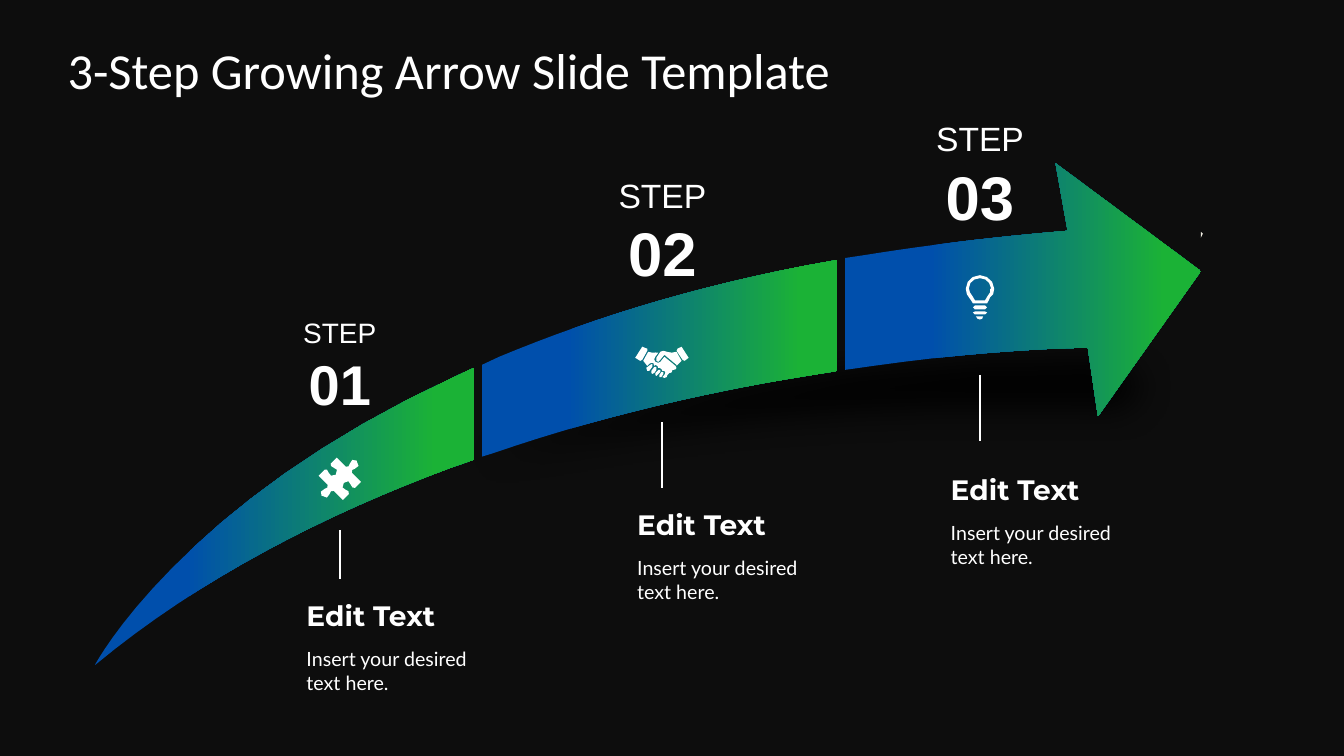
from dataclasses import dataclass
from math import dist, sqrt
from typing import Any, Iterator

from lxml import etree
from pptx import Presentation
from pptx import util as u
from pptx.dml.color import RGBColor
from pptx.enum import shapes, text
from pptx.oxml.ns import qn


@dataclass(frozen=True)
class Theme:
    backdrop: str = "0D0D0D"
    ink: str = "FFFFFF"
    shade: str = "000000"
    speck: str = "EEECE1"
    gradient: tuple = ((0.24, "004FAC"), (0.9, "1BB236"))
    title_font: str = "Calibri"
    step_font: str = "Arial"
    heading_font: str = "Montserrat"
    detail_font: str = "Lato"
    title_size: int = 36
    heading_size: int = 20
    detail_size: int = 14


@dataclass(frozen=True)
class Step:
    number: str
    center: float
    step_top: float
    step_size: int
    number_size: int
    line_top: float
    line_bottom: float
    text_left: float
    heading_top: float
    icon: tuple


THEME = Theme()
TEXT_WIDTH = 1.84
STEP_WIDTH = 1.38
CURVE_DENSITY = 8
CURVE_LIMIT = 16

SHADE = "M .75 6.74 C .75 6.74 3.3 3.09 10.72 3.22 L 10.67 2.63 L 12.02 3.77 L 10.87 5.1 L 10.83 4.41 C 10.83 4.41 4.15 4.03 .75 6.74"
ARROW = (
    "M 10.47 1.62 L 11.91 2.69 L 10.89 4.13 L 10.79 3.45 C 10.79 3.45 9.93 3.45 8.66 3.63 L 8.38 3.67 L 8.38 2.56 L 8.58 2.53 C 9.2 2.43 9.87 2.35 10.59 2.29",
    "M 8.3 2.58 L 8.3 3.68 L 7.99 3.73 C 7.06 3.88 5.98 4.12 4.88 4.5 L 4.78 4.53 L 4.78 3.62 L 4.95 3.54 C 5.79 3.19 6.79 2.87 7.97 2.64",
    "M 4.7 3.65 L 4.7 4.56 L 4.47 4.64 C 3.23 5.1 1.99 5.73 .94 6.6 C .94 6.6 1.79 4.98 4.55 3.72",
)
SPECK = "M 11.91 2.3 L 11.93 2.32 L 11.91 2.36"
PUZZLE = (
    "M 3.43 4.86 C 3.4 4.86 3.38 4.82 3.41 4.79 C 3.44 4.76 3.48 4.77 3.48 4.81 C 3.48 4.83 3.51 4.85 3.52 4.84 L 3.58 4.78 L 3.49 4.69 "
    "C 3.48 4.67 3.5 4.65 3.52 4.65 C 3.56 4.65 3.57 4.6 3.54 4.58 L 3.54 4.57 C 3.51 4.55 3.47 4.56 3.47 4.6 C 3.47 4.62 3.45 4.64 3.43 4.63 "
    "L 3.34 4.54 L 3.28 4.6 C 3.27 4.61 3.29 4.64 3.31 4.64 C 3.34 4.63 3.36 4.68 3.33 4.71 C 3.3 4.73 3.26 4.72 3.26 4.69 "
    "C 3.26 4.67 3.23 4.64 3.22 4.66 L 3.16 4.72 L 3.25 4.81 C 3.26 4.83 3.24 4.85 3.22 4.85 C 3.18 4.85 3.17 4.9 3.19 4.92 L 3.2 4.92 "
    "C 3.22 4.95 3.27 4.94 3.27 4.9 C 3.27 4.88 3.29 4.86 3.31 4.87 L 3.4 4.96 L 3.46 4.9 C 3.47 4.88 3.45 4.86 3.43 4.86",
)
HANDSHAKE = (
    "M 6.55 3.74 L 6.54 3.74 L 6.54 3.72 L 6.56 3.69 L 6.58 3.69 C 6.59 3.7 6.59 3.71 6.58 3.71 L 6.56 3.74",
    "M 6.51 3.73 L 6.5 3.72 L 6.5 3.7 L 6.53 3.67 C 6.53 3.66 6.54 3.66 6.55 3.67 C 6.56 3.68 6.56 3.68 6.55 3.69 L 6.52 3.72",
    "M 6.47 3.71 L 6.46 3.7 L 6.46 3.68 L 6.49 3.64 L 6.51 3.64 C 6.52 3.65 6.52 3.66 6.51 3.67 L 6.49 3.7",
    "M 6.43 3.68 L 6.42 3.68 L 6.41 3.65 L 6.45 3.62 L 6.47 3.61 C 6.48 3.62 6.48 3.63 6.47 3.64 L 6.44 3.68",
    "M 6.3 3.55 L 6.35 3.58 L 6.37 3.57 L 6.42 3.48 L 6.42 3.46 L 6.37 3.44",
    "M 6.7 3.63 L 6.59 3.54 L 6.55 3.59 L 6.53 3.6 L 6.5 3.59 C 6.49 3.58 6.48 3.55 6.5 3.54 "
    "L 6.53 3.5 C 6.51 3.49 6.47 3.51 6.43 3.49 L 6.38 3.58 L 6.42 3.63 L 6.44 3.61 L 6.46 3.6 L 6.48 3.6 "
    "L 6.49 3.63 L 6.5 3.62 L 6.52 3.63 L 6.53 3.65 L 6.54 3.65 L 6.56 3.66 L 6.57 3.68 L 6.59 3.68 L 6.6 3.7 "
    "L 6.59 3.72 L 6.57 3.74 L 6.59 3.75 C 6.61 3.75 6.62 3.74 6.62 3.72 L 6.64 3.7 "
    "L 6.65 3.7 C 6.66 3.7 6.67 3.69 6.67 3.67 L 6.68 3.67 C 6.7 3.67 6.71 3.66 6.71 3.65",
    "M 6.83 3.55 L 6.79 3.58 L 6.77 3.57 L 6.71 3.48 L 6.72 3.46 L 6.76 3.44",
    "M 6.71 3.49 C 6.66 3.51 6.62 3.49 6.58 3.48 L 6.55 3.49 L 6.51 3.55 L 6.51 3.58 "
    "L 6.53 3.59 L 6.54 3.58 L 6.59 3.52 L 6.71 3.62 L 6.71 3.63 L 6.76 3.58",
)
BULB = (
    "M 9.67 3.03 L 9.77 3.03 L 9.79 3.05 L 9.77 3.07 L 9.67 3.07 L 9.65 3.05",
    "M 9.67 3.09 L 9.77 3.09 L 9.79 3.1 L 9.77 3.12 L 9.67 3.12 L 9.65 3.1",
    "M 9.68 3.14 C 9.69 3.16 9.7 3.17 9.72 3.17 C 9.74 3.17 9.75 3.16 9.75 3.14",
    "M 9.72 2.73 C 9.64 2.73 9.58 2.79 9.58 2.86 L 9.58 2.87 L 9.59 2.92 L 9.61 2.95 C 9.63 2.97 9.64 3 9.65 3.01 "
    "L 9.79 3.01 C 9.8 3 9.81 2.97 9.82 2.95 L 9.85 2.92 L 9.86 2.87 L 9.86 2.86 "
    "C 9.86 2.79 9.79 2.73 9.72 2.73 M 9.82 2.87 L 9.82 2.9 L 9.8 2.93 L 9.77 2.98 "
    "L 9.67 2.98 L 9.64 2.93 L 9.62 2.9 L 9.61 2.86 C 9.61 2.8 9.66 2.76 9.72 2.76 C 9.78 2.76 9.82 2.8 9.83 2.86",
)
STEPS = (
    Step("01", 3.37, 3.13, 20, 40, 5.26, 5.74, 3.04, 5.88, PUZZLE),
    Step("02", 6.57, 1.8, 24, 44, 4.19, 4.84, 6.32, 4.98, HANDSHAKE),
    Step("03", 9.72, 1.24, 24, 44, 3.72, 4.38, 9.43, 4.63, BULB),
)


def assign(target: Any, values: dict) -> None:
    for key, value in values.items():
        setattr(target, key, value)


def contours(outline: str) -> Iterator[list]:
    for contour in outline.split("M ")[1:]:
        points: list = []
        for segment in contour.replace("L", "|L").replace("C", "|C").split("|"):
            values = [float(v) for v in segment.strip("LC ").split()]
            pairs = list(zip(values[::2], values[1::2]))
            if segment.startswith("C"):
                bezier = [points[-1], *pairs]
                count = min(CURVE_LIMIT, max(1, round(CURVE_DENSITY * sqrt(dist(bezier[0], bezier[3])))))
                for i in range(1, count + 1):
                    t = i / count
                    weights = ((1 - t) ** 3, 3 * t * (1 - t) ** 2, 3 * t * t * (1 - t), t ** 3)
                    points.append(tuple(sum(w * p[axis] for w, p in zip(weights, bezier)) for axis in (0, 1)))
            else:
                points += pairs
        yield [(u.Inches(x), u.Inches(y)) for x, y in points]


def draw_outline(canvas: Any, outline: str, color: str | None = None) -> Any:
    first, *holes = contours(outline)
    builder = canvas.build_freeform(*first[0])
    builder.add_line_segments(first[1:])
    for hole in holes:
        builder.move_to(*hole[0])
        builder.add_line_segments(hole[1:])
    figure = builder.convert_to_shape()
    figure.shadow.inherit = False
    figure.line.fill.background()
    if color:
        figure.fill.solid()
        figure.fill.fore_color.rgb = RGBColor.from_string(color)
    else:
        figure.fill.gradient()
        figure.fill.gradient_angle = 0
        for stop, (position, tone) in zip(figure.fill.gradient_stops, THEME.gradient):
            stop.position = position
            stop.color.rgb = RGBColor.from_string(tone)
    return figure


def draw_shade(canvas: Any) -> None:
    properties = draw_outline(canvas, SHADE, THEME.shade)._element.spPr
    etree.SubElement(properties.find(".//" + qn("a:srgbClr")), qn("a:alpha"), val="91000")
    etree.SubElement(properties.find(qn("a:effectLst")), qn("a:softEdge"), rad=str(u.Inches(0.35)))


def write(frame: Any, lines: list, font: str, align: Any, frame_format: dict) -> None:
    assign(frame, {"word_wrap": True, "margin_left": 0, "margin_right": 0, **frame_format})
    for i, (words, size, bold) in enumerate(lines):
        paragraph = frame.add_paragraph() if i else frame.paragraphs[0]
        paragraph.alignment = align
        run = paragraph.add_run()
        run.text = words
        assign(run.font, {"name": font, "size": u.Pt(size), "bold": bold})
        run.font.color.rgb = RGBColor.from_string(THEME.ink)


def draw_step(canvas: Any, step: Step) -> None:
    pointer = canvas.add_connector(shapes.MSO_CONNECTOR.STRAIGHT, *map(u.Inches, (step.center, step.line_top, step.center, step.line_bottom)))
    pointer.line.color.rgb = RGBColor.from_string(THEME.ink)
    pointer.line.width = u.Pt(1.5)
    etree.SubElement(pointer._element.spPr, qn("a:effectLst"))
    icon_canvas = canvas.add_group_shape().shapes if len(step.icon) > 1 else canvas
    for part in step.icon:
        draw_outline(icon_canvas, part, THEME.ink)
    fit = {"auto_size": text.MSO_AUTO_SIZE.SHAPE_TO_FIT_TEXT}
    middle = {"vertical_anchor": text.MSO_ANCHOR.MIDDLE, "margin_top": 0, "margin_bottom": 0}
    left, center = text.PP_ALIGN.LEFT, text.PP_ALIGN.CENTER
    for box, lines, font, align, frame_format in (
        ((step.text_left, step.heading_top, TEXT_WIDTH, 0.44), [("Edit Text", THEME.heading_size, True)],
         THEME.heading_font, left, {**fit, "vertical_anchor": text.MSO_ANCHOR.BOTTOM}),
        ((step.text_left, step.heading_top + 0.49, TEXT_WIDTH, 0.57), [("Insert your desired text here.", THEME.detail_size, False)],
         THEME.detail_font, left, fit),
        ((step.center - STEP_WIDTH / 2, step.step_top, STEP_WIDTH, 1), [("STEP", step.step_size, False), (step.number, step.number_size, True)],
         THEME.step_font, center, middle),
    ):
        write(canvas.add_textbox(*map(u.Inches, box)).text_frame, lines, font, align, frame_format)


def main() -> None:
    deck = Presentation()
    assign(deck, {"slide_width": u.Inches(13.33), "slide_height": u.Inches(7.5)})
    slide = deck.slides.add_slide(deck.slide_layouts[5])
    slide.background.fill.solid()
    slide.background.fill.fore_color.rgb = RGBColor.from_string(THEME.backdrop)
    title = slide.shapes.title
    assign(title, {"left": u.Inches(0.67), "top": u.Inches(0.3), "width": u.Inches(12), "height": u.Inches(0.78)})
    write(title.text_frame, [("3-Step Growing Arrow Slide Template", THEME.title_size, False)], THEME.title_font, text.PP_ALIGN.LEFT,
          {"vertical_anchor": text.MSO_ANCHOR.MIDDLE, "margin_top": 0, "margin_bottom": 0})
    draw_shade(slide.shapes)
    arrow = slide.shapes.add_group_shape()
    for section in ARROW:
        draw_outline(arrow.shapes, section)
    draw_outline(slide.shapes, SPECK, THEME.speck)
    for step in STEPS:
        draw_step(slide.shapes, step)
    deck.save("out.pptx")


if __name__ == "__main__":
    main()
